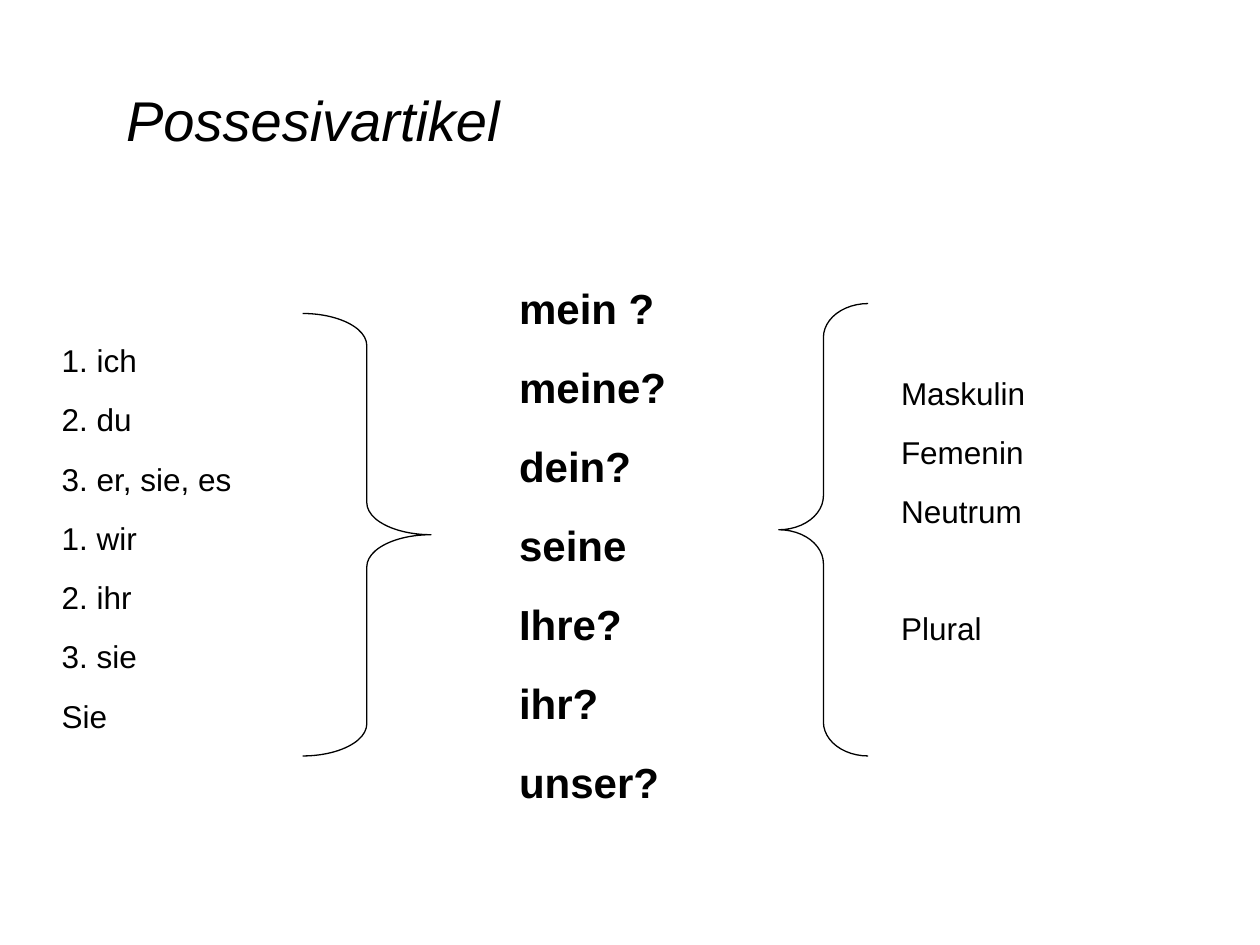
from pptx import Presentation, util as u
from pptx.dml.color import RGBColor
from pptx.enum import shapes, text
from pptx.oxml.ns import qn
from lxml import etree

Cm, Pt = u.Cm, u.Pt
ink = {"text": "000000", "line": "000000", "page": "FFFFFF"}

deck = Presentation()
deck.slide_width, deck.slide_height = Cm(25.4), Cm(19.05)
slide = deck.slides.add_slide(deck.slide_layouts[4])
slide.background.fill.solid()
slide.background.fill.fore_color.rgb = RGBColor.from_string(ink["page"])
slots = {p.placeholder_format.idx: p for p in slide.placeholders}


def place(slot, area, lines, size, gap=0, bold=False, slant=False):
    slot.left, slot.top, slot.width, slot.height = map(Cm, area)
    frame = slot.text_frame
    frame.auto_size = text.MSO_AUTO_SIZE.NONE
    frame.vertical_anchor = text.MSO_ANCHOR.TOP
    frame.word_wrap = True
    for i, line in enumerate(lines):
        para = frame.add_paragraph() if i else frame.paragraphs[0]
        props = para._p.get_or_add_pPr()
        props.set("marL", "0")
        props.set("indent", "0")
        etree.SubElement(props, qn("a:buNone"))
        para.alignment = text.PP_ALIGN.LEFT
        para.line_spacing = 1.05
        para.space_before = Pt(gap if i else 0)
        para.space_after = Pt(0)
        run = para.add_run()
        run.text = line
        font = run.font
        font.name, font.size = "Arial", Pt(size)
        font.bold, font.italic = bold, slant
        font.color.rgb = RGBColor.from_string(ink["text"])
    return frame


title = place(slots[0], (2.29, 1.52, 8.05, 1.63), ["Possesivartikel"], 32, slant=True)
title.word_wrap = False

forms = ["mein ?", "meine?", "dein?", "seine", "Ihre?", "ihr?", "unser?"]
place(slots[1], (10.21, 5.51, 4.6, 10.54), forms, 24, 15, bold=True)

people = ["1. ich", "2. du", "3. er, sie, es", "1. wir", "2. ihr", "3. sie", "Sie"]
place(slots[2], (0.99, 6.71, 6.4, 7.98), people, 18, 11.2)

kinds = ["Maskulin", "Femenin", "Neutrum", "Plural"]
group = place(slots[3], (17.91, 7.37, 5.21, 6.81), kinds, 18, 11.2)
group.paragraphs[-1].space_before = Pt(44.1)

spare = slots[4]._element
spare.getparent().remove(spare)

braces = [
    (shapes.MSO_SHAPE.RIGHT_BRACE, (6.1, 6.32, 2.59, 8.92), 0.25),
    (shapes.MSO_SHAPE.LEFT_BRACE, (15.7, 6.12, 1.8, 9.12), 0.38),
]
for kind, area, curve in braces:
    brace = slide.shapes.add_shape(kind, *map(Cm, area))
    brace.adjustments[0] = curve
    brace.shadow.inherit = False
    brace.fill.background()
    brace.line.color.rgb = RGBColor.from_string(ink["line"])
    brace.line.width = Pt(0.75)

deck.save("out.pptx")
